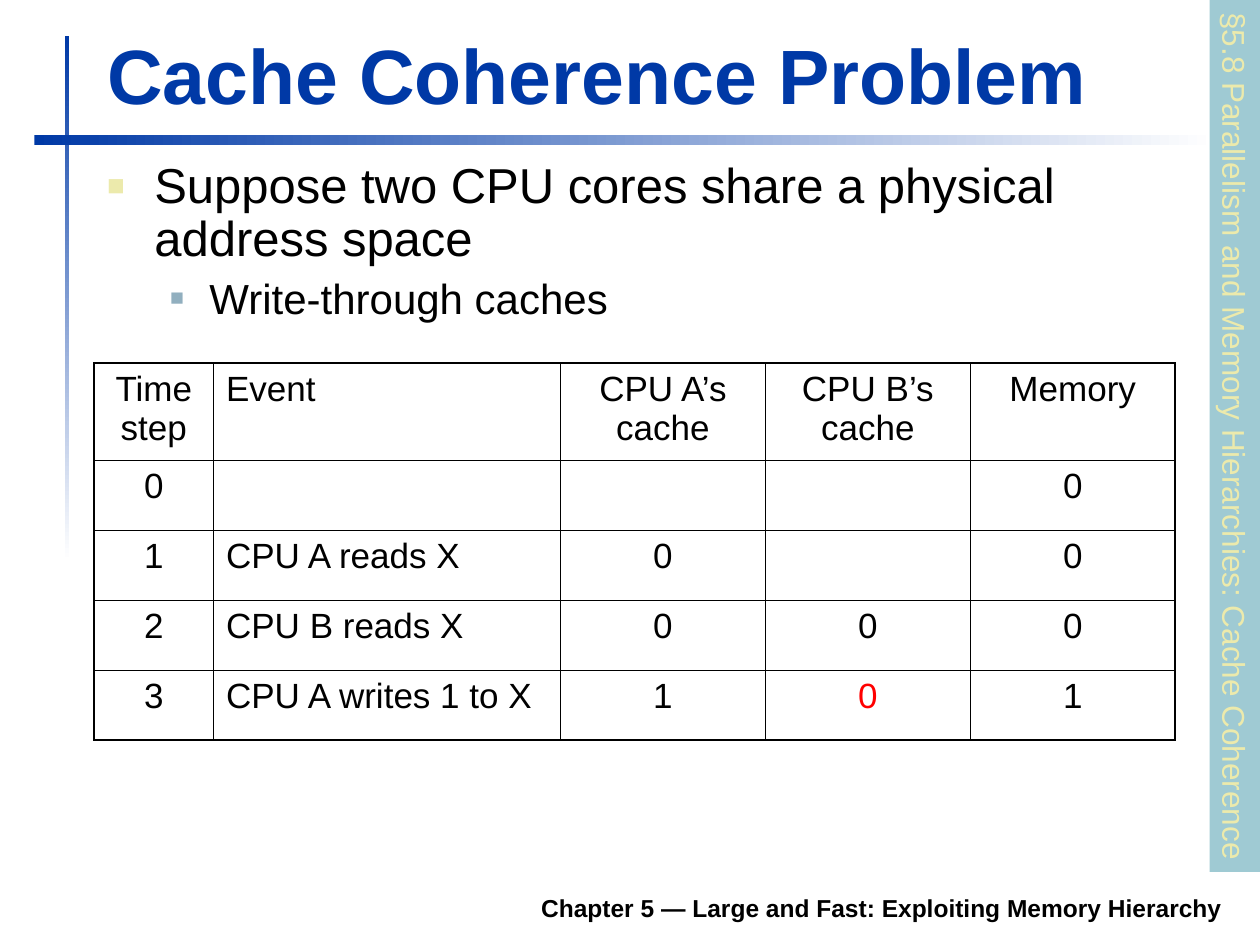
from lxml import etree
from pptx import Presentation
from pptx.dml.color import RGBColor
from pptx.enum.shapes import MSO_SHAPE
from pptx.enum.text import MSO_ANCHOR, MSO_AUTO_SIZE, PP_ALIGN
from pptx.oxml.ns import qn
from pptx.util import Pt

RECTANGLE = MSO_SHAPE.RECTANGLE
TOP, BOTTOM = MSO_ANCHOR.TOP, MSO_ANCHOR.BOTTOM
LEFT, CENTER, RIGHT = PP_ALIGN.LEFT, PP_ALIGN.CENTER, PP_ALIGN.RIGHT
FIXED = MSO_AUTO_SIZE.NONE

FONT = "Arial"
BLUE, WHITE, BLACK, RED = "0039A6", "FFFFFF", "000000", "FF0000"
TEAL, CREAM, STEEL = "9FCAD3", "ECEAAC", "91AFBF"

TITLE = "Cache Coherence Problem"
SECTION = "§5.8 Parallelism and Memory Hierarchies: Cache Coherence"
FOOTER = "Chapter 5 — Large and Fast: Exploiting Memory Hierarchy"
BULLETS = [
    ("Suppose two CPU cores share a physical address space", 0),
    ("Write-through caches", 1),
]
LEVELS = [
    {"size": 28, "indent": 27, "hanging": 27, "before": 0, "color": CREAM, "percent": 60},
    {"size": 24, "indent": 58.5, "hanging": 22.5, "before": 6, "color": STEEL, "percent": 55},
]
EVENTS = [
    ["Time step", "Event", "CPU A’s cache", "CPU B’s cache", "Memory"],
    ["0", "", "", "", "0"],
    ["1", "CPU A reads X", "0", "", "0"],
    ["2", "CPU B reads X", "0", "0", "0"],
    ["3", "CPU A writes 1 to X", "1", "0", "1"],
]
STALE_CELL = (4, 3)
EVENT_COLUMN = 1
COLUMN_WIDTHS = [68.2, 198.3, 117.1, 117.1, 117.1]
ROW_HEIGHTS = [55.4, 40, 40, 40, 40]
INNER_LINE, OUTER_LINE = 0.45, 1.08

# (left, top, width, height, gradient angle)
RULES = [(36.9, 20.5, 2.6, 300, 270), (19.6, 77, 675, 5.8, 0)]


def rgb(value):
    """Turn a hex string into a colour."""
    return RGBColor.from_string(value)


def place(shape, left, top, width, height):
    """Set the position and size of a shape in points."""
    shape.left, shape.top = Pt(left), Pt(top)
    shape.width, shape.height = Pt(width), Pt(height)


def style(para, size, color=BLACK, bold=False, align=LEFT):
    """Format one paragraph."""
    para.alignment = align
    for span in para.runs:
        font = span.font
        font.name, font.size, font.bold = FONT, Pt(size), bold
        font.color.rgb = rgb(color)


def set_frame(frame, anchor=TOP):
    """Give a text frame a fixed size, wrapping and an anchor."""
    frame.auto_size = FIXED
    frame.word_wrap = True
    frame.vertical_anchor = anchor


def add_rectangle(page, left, top, width, height):
    """Add a rectangle without line or shadow."""
    box = page.shapes.add_shape(RECTANGLE, Pt(left), Pt(top), Pt(width), Pt(height))
    box.shadow.inherit = False
    box.line.fill.background()
    return box


def add_rules(page):
    """Add the fading bars beside and below the title."""
    for *bounds, angle in RULES:
        fill = add_rectangle(page, *bounds).fill
        fill.gradient()
        fill.gradient_angle = angle
        for stop, color in zip(fill.gradient_stops, (BLUE, WHITE)):
            stop.color.rgb = rgb(color)


def add_bullet(para, level):
    """Give a paragraph a square bullet and a hanging indent."""
    props = para._p.get_or_add_pPr()
    props.set("marL", str(Pt(level["indent"])))
    props.set("indent", str(-Pt(level["hanging"])))
    color = etree.SubElement(props, qn("a:buClr"))
    etree.SubElement(color, qn("a:srgbClr"), val=level["color"])
    etree.SubElement(props, qn("a:buSzPct"), val=str(level["percent"] * 1000))
    etree.SubElement(props, qn("a:buFont"), typeface=FONT)
    etree.SubElement(props, qn("a:buChar"), char="■")


def fill_body(body):
    """Write the bulleted list."""
    place(body, 54, 88.6, 651, 107.3)
    frame = body.text_frame
    set_frame(frame)
    frame.text = "\n".join(text for text, _ in BULLETS)
    for para, (_, depth) in zip(frame.paragraphs, BULLETS):
        level = LEVELS[depth]
        para.level = depth
        add_bullet(para, level)
        para.line_spacing = 0.9
        para.space_before = Pt(level["before"])
        style(para, level["size"])


def set_borders(cell, row, column):
    """Draw cell borders, heavier on the outside of the table."""
    outside = {
        "L": column == 0,
        "R": column == len(COLUMN_WIDTHS) - 1,
        "T": row == 0,
        "B": row == len(ROW_HEIGHTS) - 1,
    }
    props = cell._tc.get_or_add_tcPr()
    for side, outer in outside.items():
        width = Pt(OUTER_LINE if outer else INNER_LINE)
        line = etree.SubElement(props, qn(f"a:ln{side}"), w=str(width))
        solid = etree.SubElement(line, qn("a:solidFill"))
        etree.SubElement(solid, qn("a:srgbClr"), val=BLACK)


def add_events(page):
    """Add the table of cache contents over time."""
    table = page.shapes.add_table(
        len(EVENTS), len(COLUMN_WIDTHS), Pt(53.8), Pt(207.6),
        Pt(sum(COLUMN_WIDTHS)), Pt(sum(ROW_HEIGHTS))).table
    table.first_row = table.horz_banding = False
    for column, width in zip(table.columns, COLUMN_WIDTHS):
        column.width = Pt(width)
    for row, height in zip(table.rows, ROW_HEIGHTS):
        row.height = Pt(height)
    for r, values in enumerate(EVENTS):
        for c, value in enumerate(values):
            cell = table.cell(r, c)
            set_borders(cell, r, c)
            cell.fill.background()
            cell.text = value
            style(cell.text_frame.paragraphs[0], 20,
                  RED if (r, c) == STALE_CELL else BLACK,
                  align=LEFT if c == EVENT_COLUMN else CENTER)


def add_section(page):
    """Add the rotated section label on the right edge."""
    section = add_rectangle(page, 456.5, 234.7, 498.2, 28.8)
    section.rotation = 90
    section.fill.solid()
    section.fill.fore_color.rgb = rgb(TEAL)
    frame = section.text_frame
    frame.text = SECTION
    set_frame(frame)
    frame.margin_right = Pt(0)
    style(frame.paragraphs[0], 18, CREAM)


def main():
    """Build the deck."""
    deck = Presentation()
    deck.slide_width, deck.slide_height = Pt(720), Pt(540)
    page = deck.slides.add_slide(deck.slide_layouts[1])
    add_rules(page)

    title = page.shapes.title
    place(title, 54, 11.5, 650, 60.5)
    title.text_frame.text = TITLE
    set_frame(title.text_frame, BOTTOM)
    style(title.text_frame.paragraphs[0], 44, BLUE, True)

    fill_body(page.placeholders[1])
    add_section(page)
    add_events(page)

    footer = page.shapes.add_textbox(Pt(133.2), Pt(502.6), Pt(572.4), Pt(28))
    footer.text_frame.text = FOOTER
    set_frame(footer.text_frame, BOTTOM)
    style(footer.text_frame.paragraphs[0], 14, bold=True, align=RIGHT)

    deck.save("out.pptx")


if __name__ == "__main__":
    main()
